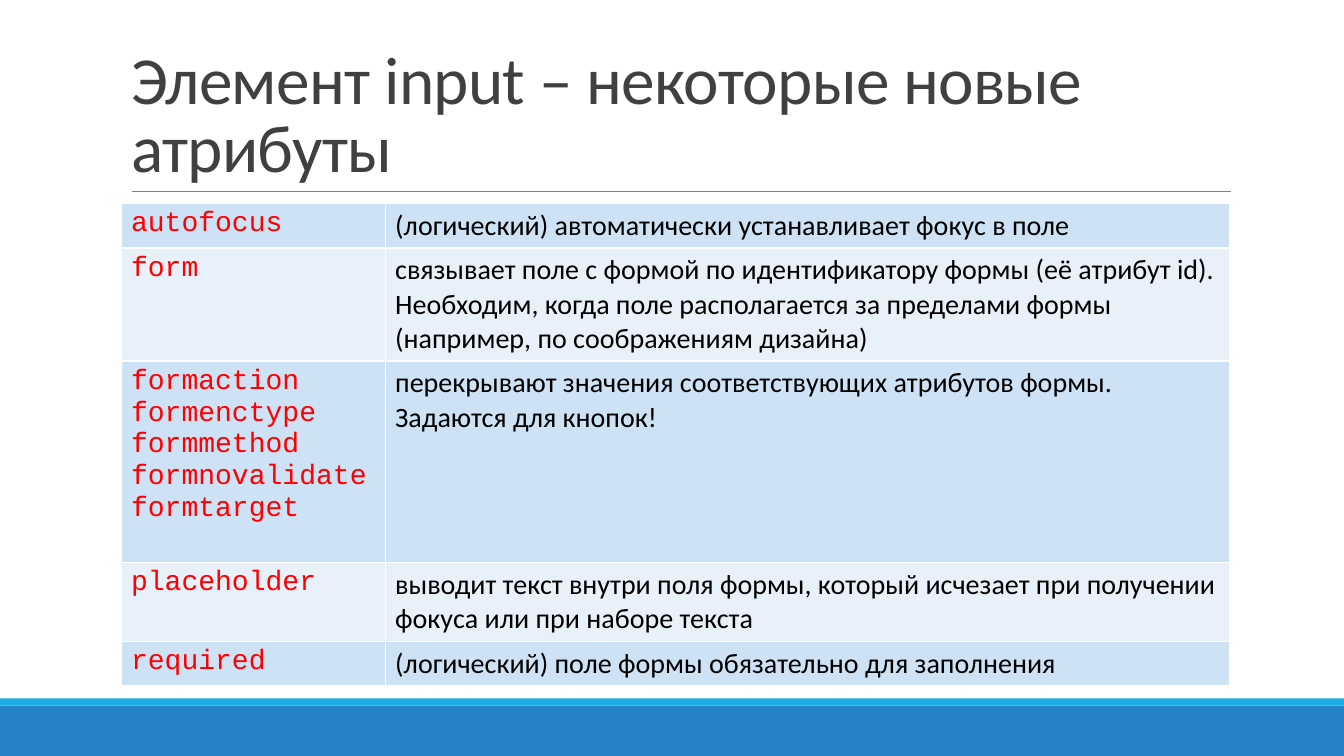
from lxml.etree import SubElement
from pptx import Presentation
from pptx.dml.color import RGBColor
from pptx.enum.shapes import MSO_CONNECTOR as Connector, MSO_SHAPE as Shape
from pptx.enum.text import MSO_ANCHOR as Anchor, MSO_AUTO_SIZE as AutoSize, PP_ALIGN as Align
from pptx.oxml import parse_xml
from pptx.oxml.ns import nsdecls, qn
from pptx.util import Inches, Pt

ATTRIBUTES = [
    (["autofocus"], "(логический) автоматически устанавливает фокус в поле"),
    (["form"], "связывает поле с формой по идентификатору формы (её атрибут id). "
               "Необходим, когда поле располагается за пределами формы "
               "(например, по соображениям дизайна)"),
    (["formaction", "formenctype", "formmethod", "formnovalidate", "formtarget"],
     "перекрывают значения соответствующих атрибутов формы. Задаются для кнопок!"),
    (["placeholder"], "выводит текст внутри поля формы, который исчезает при получении "
                      "фокуса или при наборе текста"),
    (["required"], "(логический) поле формы обязательно для заполнения"),
]


def color(value):
    return RGBColor.from_string(value)


def write(paragraph, text, font="Calibri", size=20, fill="000000", tracking=None, line_spacing=None):
    paragraph.alignment = Align.LEFT
    if line_spacing:
        paragraph.line_spacing = line_spacing
    run = paragraph.add_run()
    run.text = text
    run.font.name = font
    run.font.size = Pt(size)
    run.font.color.rgb = color(fill)
    if tracking is not None:
        run.font._element.set("spc", str(round(tracking * 100)))


class AttributeSlide:
    bands = ("CDE3F5", "E8F1FA")
    code_style = {"font": "Courier New", "fill": "FF0000"}

    def __init__(self, presentation):
        self.slide = presentation.slides.add_slide(presentation.slide_layouts[5])

    def bar(self, top, height, fill):
        shape = self.slide.shapes.add_shape(
            Shape.RECTANGLE, 0, Inches(top), Inches(13.33), Inches(height))
        shape.shadow.inherit = False
        shape.fill.solid()
        shape.fill.fore_color.rgb = color(fill)
        shape.line.fill.background()

    def rule(self, left, right, top):
        connector = self.slide.shapes.add_connector(
            Connector.STRAIGHT, Inches(left), Inches(top), Inches(right), Inches(top))
        connector.line.color.rgb = color("808080")
        connector.line.width = Pt(0.5)
        SubElement(connector._element.spPr, qn("a:effectLst"))

    def title(self, text):
        shape = self.slide.shapes.title
        shape.left, shape.top = Inches(1.2), Inches(0.31)
        shape.width, shape.height = Inches(11), Inches(1.59)
        frame = shape.text_frame
        frame.word_wrap = True
        frame.auto_size = AutoSize.NONE
        frame.vertical_anchor = Anchor.BOTTOM
        write(frame.paragraphs[0], text, size=48, fill="404040", tracking=-0.5, line_spacing=0.85)

    def cell(self, cell, lines, band, **style):
        properties = cell._tc.get_or_add_tcPr()
        for side in ("lnL", "lnR", "lnT", "lnB"):
            properties.append(parse_xml(
                f'<a:{side} {nsdecls("a")} w="12700"><a:solidFill>'
                f'<a:srgbClr val="FFFFFF"/></a:solidFill></a:{side}>'))
        cell.fill.solid()
        cell.fill.fore_color.rgb = color(band)
        frame = cell.text_frame
        for index, line in enumerate(lines):
            paragraph = frame.add_paragraph() if index else frame.paragraphs[0]
            write(paragraph, line, **style)

    def table(self, rows, widths, heights):
        table = self.slide.shapes.add_table(
            len(rows), len(widths), Inches(1.2), Inches(2.02),
            Inches(sum(widths)), Inches(sum(heights))).table
        for column, width in zip(table.columns, widths):
            column.width = Inches(width)
        for index, (names, description) in enumerate(rows):
            table.rows[index].height = Inches(heights[index])
            band = self.bands[index % 2]
            self.cell(table.cell(index, 0), names, band, **self.code_style)
            self.cell(table.cell(index, 1), [description], band)


def main():
    presentation = Presentation()
    presentation.slide_width, presentation.slide_height = Inches(13.33), Inches(7.5)
    page = AttributeSlide(presentation)
    page.bar(7, 0.5, "2683C6")
    page.bar(6.93, 0.07, "1CADE4")
    page.rule(1.31, 12.21, 1.9)
    page.title("Элемент input – некоторые новые атрибуты")
    page.table(ATTRIBUTES, widths=(2.62, 8.38), heights=(0.41, 0.41, 2, 0.41, 0.41))
    presentation.save("out.pptx")


if __name__ == "__main__":
    main()
